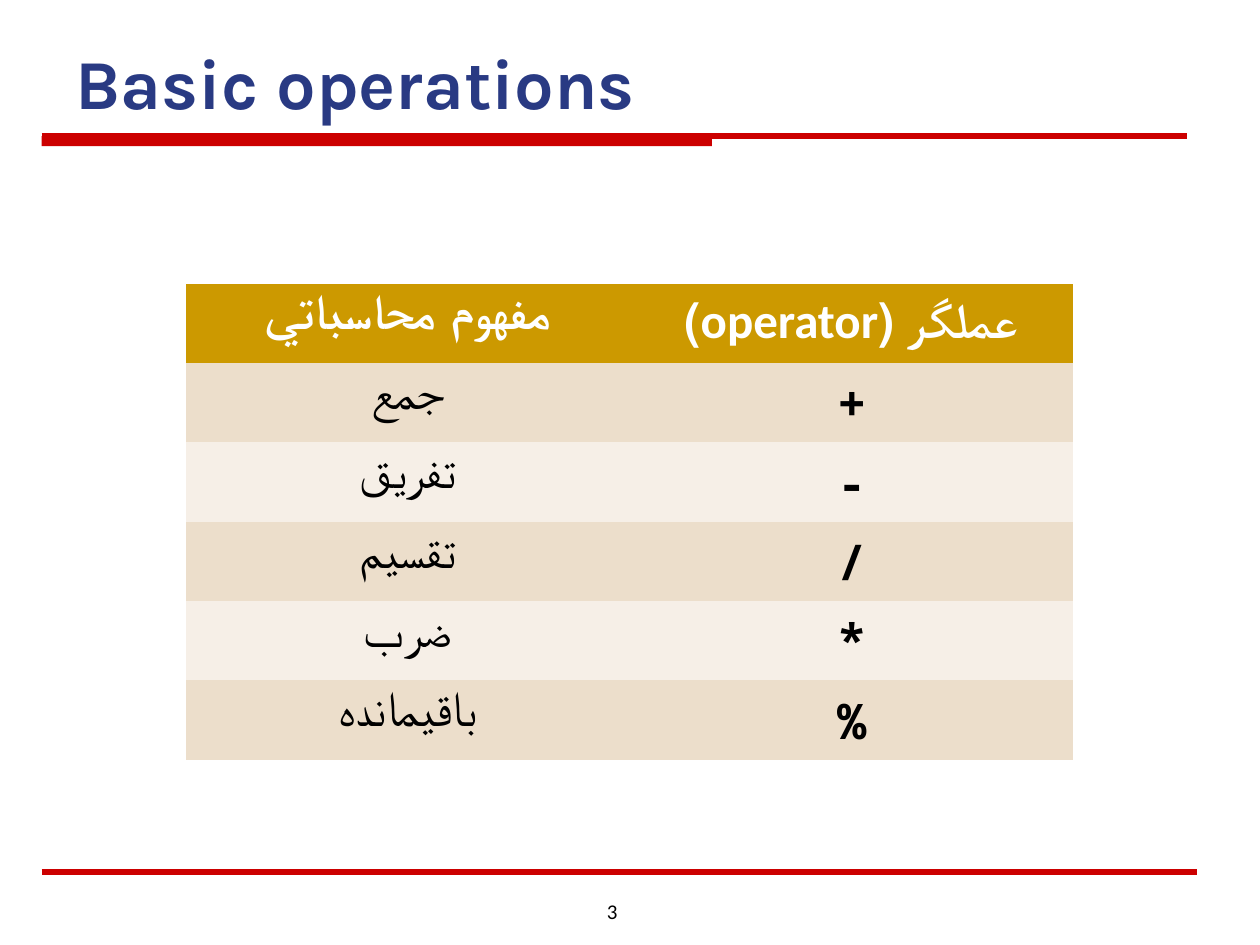
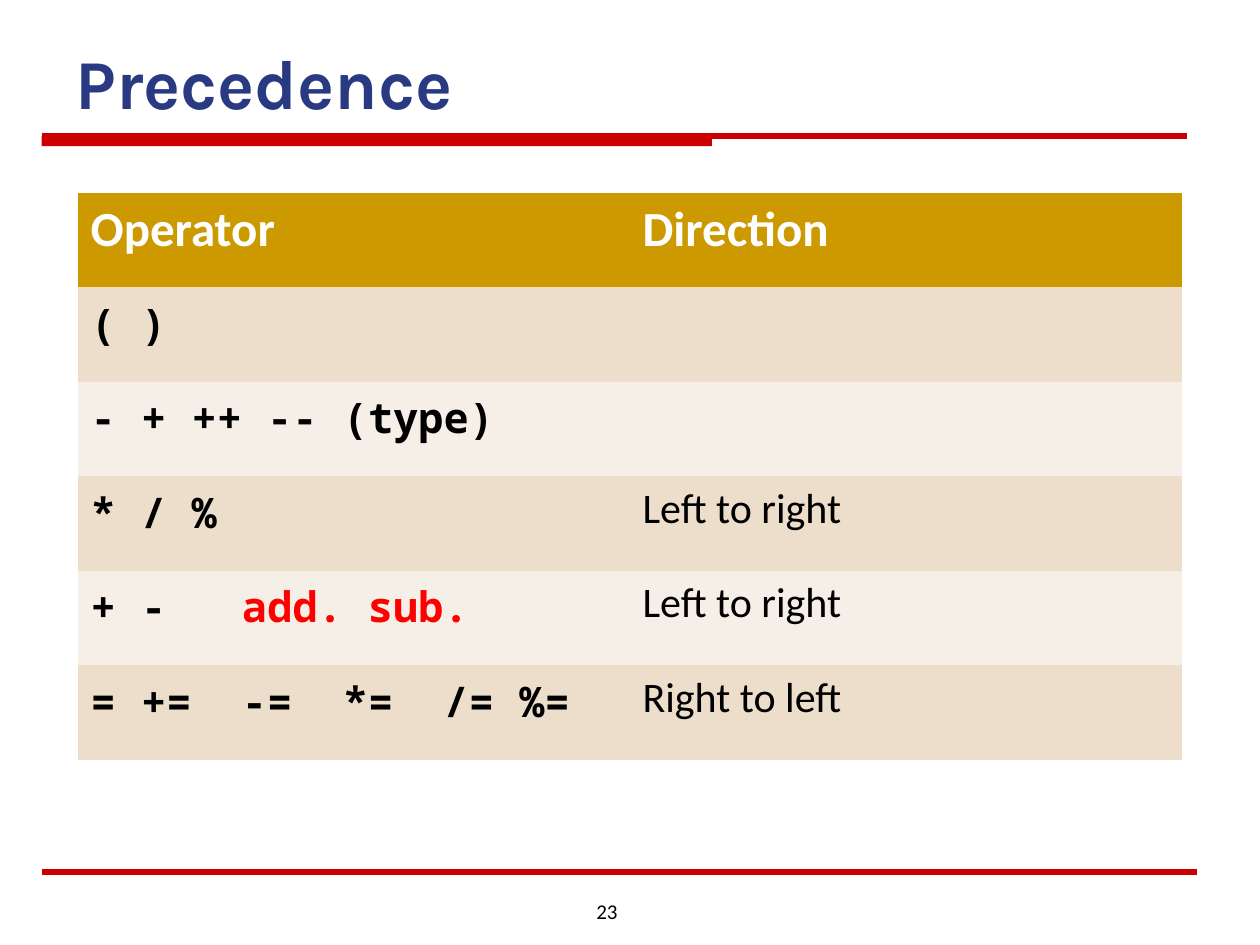
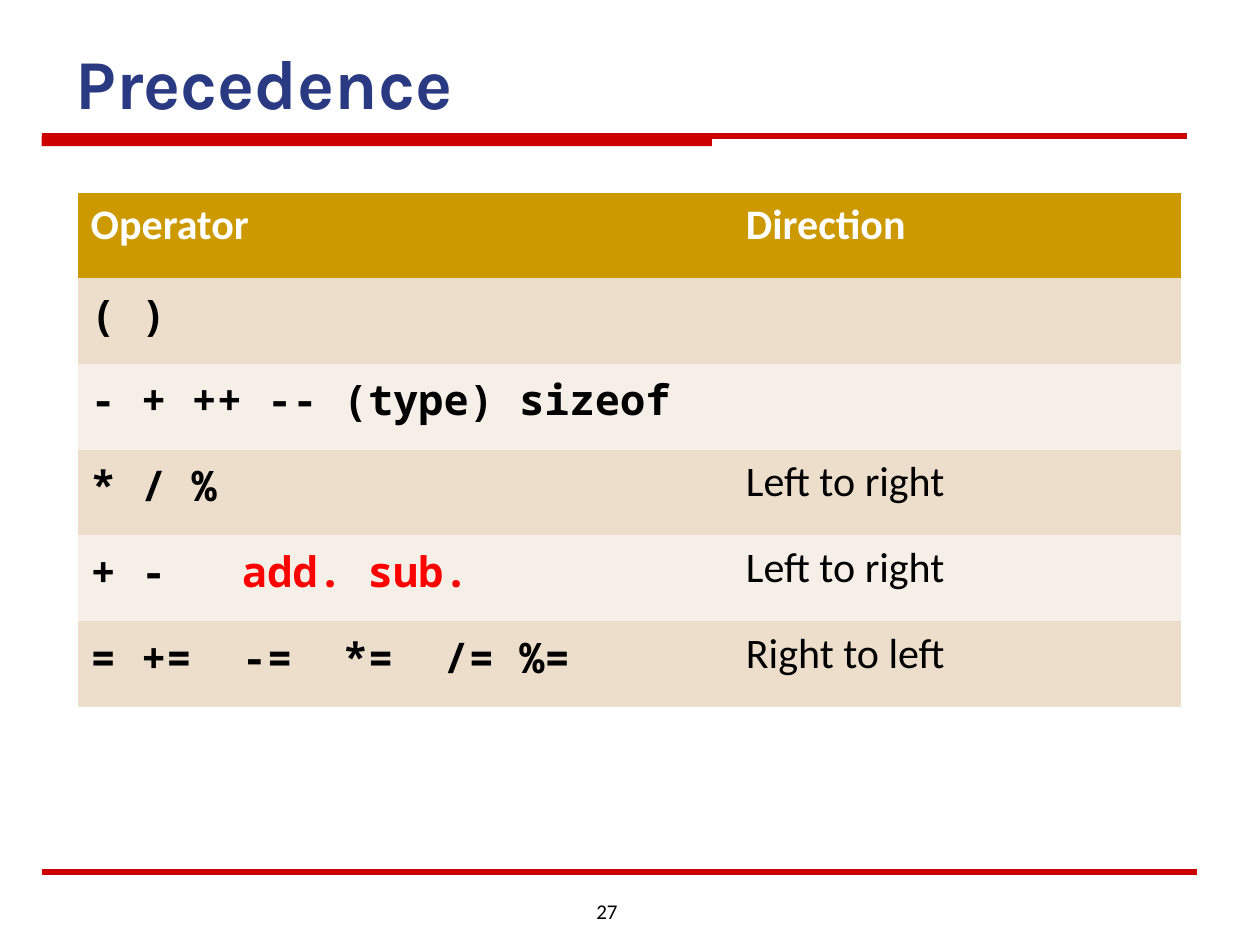
from lxml import etree
from pptx import Presentation
from pptx.dml.color import RGBColor
from pptx.enum.shapes import MSO_CONNECTOR as Connector, MSO_SHAPE as Shape
from pptx.enum.text import MSO_ANCHOR as Anchor, MSO_AUTO_SIZE as AutoSize, PP_ALIGN as Align
from pptx.oxml.ns import qn
from pptx.util import Inches, Pt

COLORS = {
    "title": "293A83",
    "rule": "CC0000",
    "header": "CC9900",
    "odd_row": "ECDECB",
    "even_row": "F6EFE7",
    "white": "FFFFFF",
    "text": "000000",
    "accent": "FF0000",
}
TITLE_FONT, TEXT_FONT, CODE_FONT = "Karla", "Calibri", "Noto Sans Mono"
PLAIN_TABLE_STYLE = "{2D5ABB26-0587-4C30-8999-92F81FD0307C}"


def rgb(name):
    return RGBColor.from_string(COLORS[name])


class Deck:
    """Holds the shared style and the current slide."""

    def __init__(self):
        self.prs = Presentation()
        self.prs.slide_width, self.prs.slide_height = Inches(10), Inches(7.5)
        self.slide = None

    def new_slide(self, title, number):
        self.slide = self.prs.slides.add_slide(self.prs.slide_layouts[5])
        self.band(0.33, 1.08, 5.32, 0.08)
        self.rule(0.33, 9.42, 1.08)
        self.rule(0.33, 9.5, 6.92)
        self.page_number(number)
        self.title(title)

    def run(self, paragraph, text, size, color="text", font=TEXT_FONT, bold=False):
        run = paragraph.add_run()
        run.text = text
        run.font.size, run.font.name, run.font.bold = Pt(size), font, bold
        run.font.color.rgb = rgb(color)

    def band(self, left, top, width, height):
        band = self.slide.shapes.add_shape(
            Shape.RECTANGLE, Inches(left), Inches(top), Inches(width), Inches(height))
        band.shadow.inherit = False
        band.fill.solid()
        band.fill.fore_color.rgb = rgb("rule")
        band.line.fill.background()

    def rule(self, start, end, y):
        rule = self.slide.shapes.add_connector(
            Connector.STRAIGHT, Inches(start), Inches(y), Inches(end), Inches(y))
        rule.line.color.rgb = rgb("rule")
        rule.line.width = Pt(3)
        etree.SubElement(rule._element.spPr, qn("a:effectLst"))

    def page_number(self, number):
        box = self.slide.shapes.add_textbox(
            Inches(4.33), Inches(7.08), Inches(0.67), Inches(0.27))
        box.text_frame.word_wrap = True
        paragraph = box.text_frame.paragraphs[0]
        paragraph.alignment = Align.RIGHT
        self.run(paragraph, str(number), 12)

    def title(self, text):
        title = self.slide.shapes.title
        title.left, title.top = Inches(0.5), Inches(0.17)
        title.width, title.height = Inches(9), Inches(0.86)
        frame = title.text_frame
        frame.auto_size = AutoSize.NONE
        frame.vertical_anchor = Anchor.BOTTOM
        frame.paragraphs[0].alignment = Align.LEFT
        self.run(frame.paragraphs[0], text, 40, "title", TITLE_FONT, True)

    def table(self, left, top, column_widths, row_height, rows, code_column,
              header_size, body_size, align=Align.LEFT, text_inset=0.07):
        """Each cell is a string or a list of (text, color) pairs."""
        table = self.slide.shapes.add_table(
            len(rows), len(column_widths), Inches(left), Inches(top),
            Inches(sum(column_widths)), Inches(row_height * len(rows))).table
        table.horz_banding = False
        table._tbl.tblPr.find(qn("a:tableStyleId")).text = PLAIN_TABLE_STYLE
        for column, width in zip(table.columns, column_widths):
            column.width = Inches(width)
        for r, row in enumerate(rows):
            table.rows[r].height = Inches(row_height)
            header = r == 0
            fill = "header" if header else "odd_row" if r % 2 else "even_row"
            for c, content in enumerate(row):
                code = c == code_column and not header
                cell = table.cell(r, c)
                cell.fill.solid()
                cell.fill.fore_color.rgb = rgb(fill)
                cell.margin_top = Inches(0.07 if code else text_inset)
                paragraph = cell.text_frame.paragraphs[0]
                paragraph.alignment = align
                paragraph.line_spacing = 0.94 if code else 0.93
                if not content:
                    continue
                if isinstance(content, str):
                    content = [(content, "white" if header else "text")]
                for text, color in content:
                    self.run(paragraph, text, header_size if header else body_size,
                             color, CODE_FONT if code else TEXT_FONT, header or code)
        return table


def precedence_rows(unary_operators):
    return [
        ("Operator", "Direction"),
        ("( )", ""),
        (unary_operators, ""),
        ("* / %", "Left to right"),
        ([("+ -   ", "text"), ("add. sub.", "accent")], "Left to right"),
        ("= +=  -=  *=  /= %=", "Right to left"),
    ]


def main():
    deck = Deck()

    # Basic operations
    deck.new_slide("Basic operations", 3)
    operations = deck.table(
        1.48, 2.25, (3.52, 3.52), 0.63,
        [("مفهوم محاسباتي", "عملگر (operator)"),
         ("جمع", "+"),
         ("تفريق", "-"),
         ("تقسيم", "/"),
         ("ضرب", "*"),
         ("باقيمانده", "%")],
        code_column=1, header_size=28, body_size=28,
        align=Align.CENTER, text_inset=0.08)
    operator_heading = operations.cell(0, 1).text_frame.paragraphs[0]
    operator_heading._p.get_or_add_pPr().set("rtl", "1")

    # Precedence, first without and then with sizeof
    for number, unary_operators, widths, row_height, header_size in (
            (23, "- + ++ -- (type)", (4.38, 4.38), 0.75, 28),
            (27, "- + ++ -- (type) sizeof", (5.2, 3.55), 0.68, 24)):
        deck.new_slide("Precedence", number)
        deck.table(0.62, 1.53, widths, row_height, precedence_rows(unary_operators),
                   code_column=0, header_size=header_size, body_size=24)

    deck.prs.save("out.pptx")


if __name__ == "__main__":
    main()
